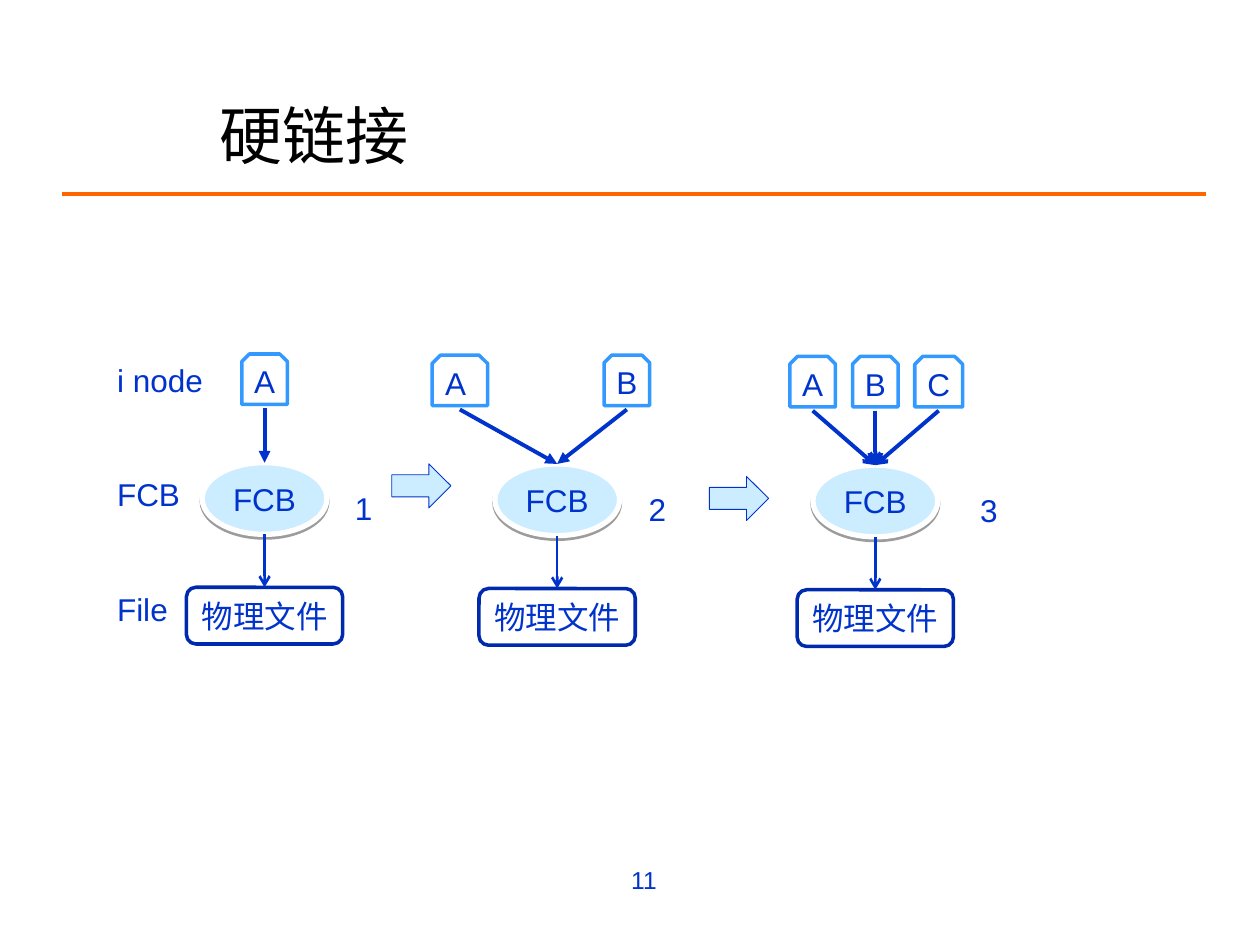
from dataclasses import dataclass

from lxml.etree import SubElement
from pptx import Presentation
from pptx.dml.color import RGBColor
from pptx.enum.shapes import MSO_CONNECTOR, MSO_SHAPE as Shape
from pptx.enum.text import MSO_ANCHOR as Anchor, PP_ALIGN as Align
from pptx.oxml.ns import qn
from pptx.util import Pt


@dataclass(frozen=True)
class Theme:
    font: str = "Arial"
    title_size: float = 36
    body_size: float = 18
    number_size: float = 14
    black: str = "000000"
    white: str = "FFFFFF"
    blue: str = "0033CC"
    navy: str = "002AAE"
    sky: str = "3399FF"
    pale: str = "CCECFF"
    orange: str = "FF6600"


@dataclass(frozen=True)
class Node:
    name: str
    center: float
    width: float = 26
    align: Align = Align.CENTER


@dataclass(frozen=True)
class Stage:
    label: str
    center: float
    nodes: tuple
    label_left: float
    label_width: float
    head: str = "triangle"


STAGES = (
    Stage("1", 151.2, (Node("A", 151.2),), 195.8, 16.6),
    Stage("2", 318.4, (Node("A", 262.8, 31.7, Align.LEFT), Node("B", 358.2)),
          363.6, 24.5),
    Stage("3", 500.2, (Node("A", 464.4), Node("B", 500.2), Node("C", 536.4, 27.4)),
          553, 59, "arrow"),
)
STEP_ARROWS = ((223.9, 265), (405.4, 272.2))
STAGE_DROP = 0.7
NODE_TOP, NODE_HEIGHT, NODE_GAP = 202.3, 28.8, 2.2
FCB_TOP, FCB_WIDTH, FCB_HEIGHT = 264.4, 71.3, 41
FILE_TOP, FILE_WIDTH, FILE_HEIGHT = 335.6, 89.3, 32.4
LABEL_TOP, LABEL_HEIGHT = 275.8, 28.8


class SlideBuilder:
    def __init__(self, slide, theme):
        self.slide = slide
        self.theme = theme

    def format_text(self, frame, color, size, align=Align.LEFT):
        for para in frame.paragraphs:
            para.alignment = align
            for span in para.runs:
                span.font.name = self.theme.font
                span.font.size = Pt(size)
                span.font.color.rgb = RGBColor.from_string(color)

    def title(self, text, left, top, width, height):
        title = self.slide.shapes.title
        title.left, title.top = Pt(left), Pt(top)
        title.width, title.height = Pt(width), Pt(height)
        frame = title.text_frame
        frame.text = text
        frame.vertical_anchor = Anchor.MIDDLE
        self.format_text(frame, self.theme.black, self.theme.title_size)

    def text(self, text, left, top, width, height, size=None, align=Align.LEFT,
             gap=0):
        box = self.slide.shapes.add_textbox(Pt(left), Pt(top), Pt(width), Pt(height))
        frame = box.text_frame
        frame.word_wrap = True
        frame.text = text
        for para in frame.paragraphs[1:]:
            para.space_before = Pt(gap)
        self.format_text(frame, self.theme.blue, size or self.theme.body_size, align)

    def shape(self, kind, left, top, width, height, fill, line, line_width,
              text="", align=Align.CENTER):
        shape = self.slide.shapes.add_shape(
            kind, Pt(left), Pt(top), Pt(width), Pt(height))
        shape.shadow.inherit = False
        shape.fill.solid()
        shape.fill.fore_color.rgb = RGBColor.from_string(fill)
        shape.line.color.rgb = RGBColor.from_string(line)
        shape.line.width = Pt(line_width)
        if text:
            frame = shape.text_frame
            frame.word_wrap = align == Align.LEFT
            frame.vertical_anchor = Anchor.MIDDLE
            frame.margin_left = frame.margin_right = Pt(5)
            frame.text = text
            self.format_text(frame, self.theme.blue, self.theme.body_size, align)
        return shape

    def inode(self, node, top):
        self.shape(Shape.SNIP_2_SAME_RECTANGLE, node.center - node.width / 2, top,
                   node.width, NODE_HEIGHT, self.theme.white, self.theme.sky, 2,
                   node.name, node.align)

    def fcb(self, center, top):
        oval = self.shape(Shape.OVAL, center - FCB_WIDTH / 2, top, FCB_WIDTH,
                          FCB_HEIGHT, self.theme.pale, self.theme.white, 3, "FCB")
        effects = oval.element.spPr.find(qn("a:effectLst"))
        shadow = SubElement(effects, qn("a:outerShdw"), dist=str(Pt(1.6)),
                            dir="5400000", rotWithShape="0")
        color = SubElement(shadow, qn("a:srgbClr"), val=self.theme.black)
        SubElement(color, qn("a:alpha"), val="38000")
        return oval

    def file(self, center, top):
        return self.shape(Shape.ROUNDED_RECTANGLE, center - FILE_WIDTH / 2, top,
                          FILE_WIDTH, FILE_HEIGHT, self.theme.white,
                          self.theme.navy, 2, "物理文件")

    def line(self, start, end, color, width, head=None, target=None):
        """Draw a straight line; a target is joined at the middle of its top."""
        line = self.slide.shapes.add_connector(
            MSO_CONNECTOR.STRAIGHT, *(Pt(value) for value in (*start, *end)))
        line.line.color.rgb = RGBColor.from_string(color)
        line.line.width = Pt(width)
        if head:
            SubElement(line.line._get_or_add_ln(), qn("a:tailEnd"), type=head)
        SubElement(line.element.spPr, qn("a:effectLst"))
        if target is not None:
            line.end_connect(target, 0)

    def stage(self, stage, drop):
        """Draw the i nodes, the FCB and the file of one step."""
        node_top, fcb_top, file_top = (
            top + drop for top in (NODE_TOP, FCB_TOP, FILE_TOP))
        file = self.file(stage.center, file_top)
        fcb = self.fcb(stage.center, fcb_top)
        self.line((stage.center, fcb_top + FCB_HEIGHT), (stage.center, file_top),
                  self.theme.blue, 1.5, "arrow", file)
        for node in stage.nodes:
            self.inode(node, node_top)
            self.line((node.center, node_top + NODE_HEIGHT + NODE_GAP),
                      (stage.center, fcb_top), self.theme.blue, 2.25,
                      stage.head, fcb)
        self.text(stage.label, stage.label_left, LABEL_TOP + drop,
                  stage.label_width, LABEL_HEIGHT)


def main():
    deck = Presentation()
    deck.slide_width, deck.slide_height = Pt(720), Pt(540)
    theme = Theme()
    page = SlideBuilder(deck.slides.add_slide(deck.slide_layouts[5]), theme)

    page.line((35.5, 110.9), (689, 110.9), theme.orange, 2.25)
    page.title("硬链接", 118, 54, 522.7, 46)
    page.text("11", 201.6, 491, 180.7, 37.4, theme.number_size, Align.RIGHT)
    page.text("i node\nFCB\nFile", 59.8, 202.6, 73.4, 180, gap=44)
    for index, stage in enumerate(STAGES):
        page.stage(stage, index * STAGE_DROP)
    for left, top in STEP_ARROWS:
        page.shape(Shape.RIGHT_ARROW, left, top, 33.8, 25.2,
                   theme.pale, theme.blue, 0.5)

    deck.save("out.pptx")


if __name__ == "__main__":
    main()
